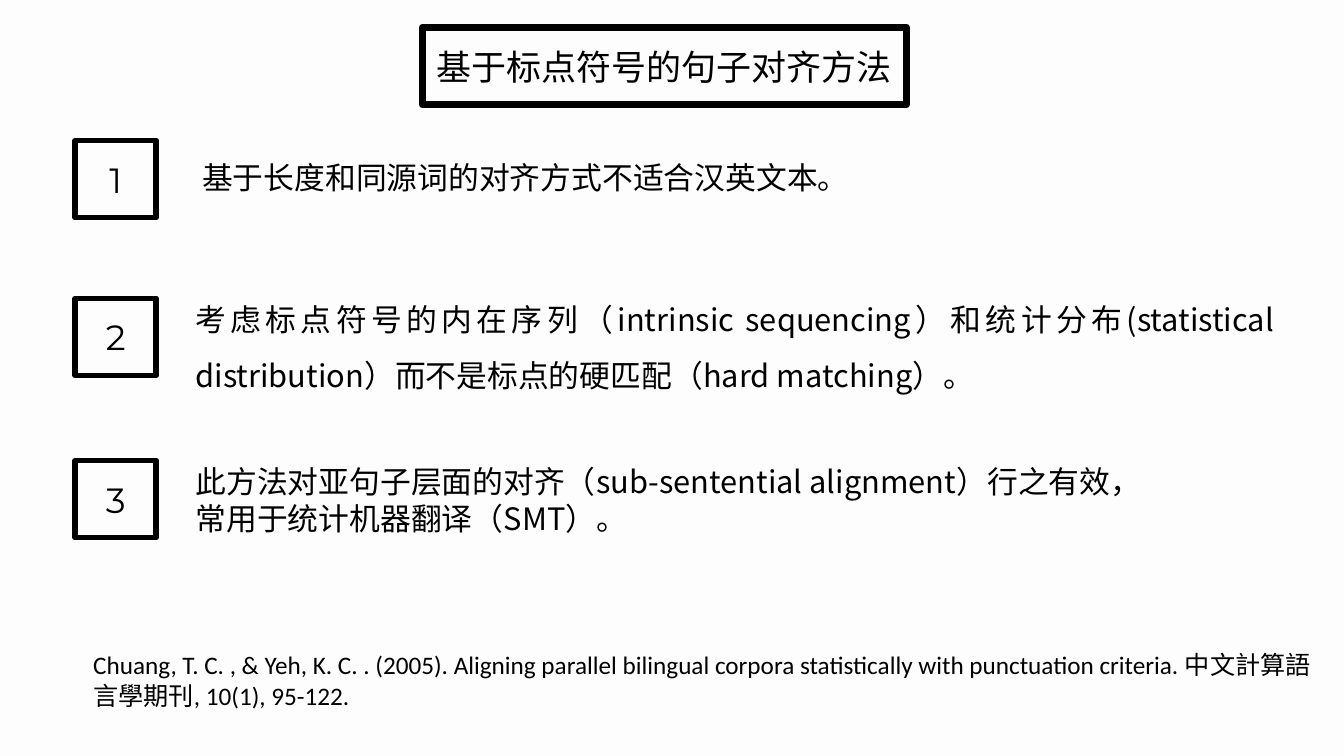
from dataclasses import dataclass
from lxml.etree import SubElement
from pptx import Presentation
from pptx.dml.color import RGBColor
from pptx.enum.shapes import MSO_SHAPE
from pptx.enum.text import MSO_ANCHOR, MSO_AUTO_SIZE, PP_ALIGN
from pptx.oxml.ns import qn
from pptx.util import Inches, Pt


@dataclass(frozen=True)
class Theme:
    ink: RGBColor = RGBColor(0x00, 0x00, 0x00)
    paper: RGBColor = RGBColor(0xFD, 0xFD, 0xFD)
    chinese: str = "Noto Sans CJK SC"
    numeral: str = "Montserrat"
    citation: str = "Calibri"
    heading_size: int = 50
    statement_size: int = 44
    citation_size: int = 36
    title_border: int = 10
    number_border: int = 8


@dataclass(frozen=True)
class Box:
    left: float
    top: float
    width: float
    height: float

    def inside(self, left, top, width, height):
        return Box(self.left + left, self.top + top, width, height)


THEME = Theme()
WIDTH, HEIGHT = Inches(26.67), Inches(15)
COLUMN, ROW = WIDTH / 100, HEIGHT / 100
COMPARISON_LAYOUT = 4

TITLE = "基于标点符号的句子对齐方法"
CITATION = (
    "Chuang, T. C. , & Yeh, K. C. . (2005). Aligning parallel bilingual corpora "
    "statistically with punctuation criteria. 中文計算語言學期刊, 10(1), 95-122."
)
POINTS = [
    {
        "row": 18.6,
        "area": (9.07, 2.07, 66.67, 5.6),
        "text": "基于长度和同源词的对齐方式不适合汉英文本。",
        "format": {"line_spacing": Pt(53)},
    },
    {
        "row": 39.47,
        "area": (8.58, -2.4, 81, 14.67),
        "text": "考虑标点符号的内在序列（intrinsic sequencing）和统计分布"
                "(statistical distribution）而不是标点的硬匹配（hard matching）。",
        "format": {"line_spacing": Pt(79), "alignment": PP_ALIGN.JUSTIFY},
    },
    {
        "row": 60.93,
        "area": (8.58, -0.13, 73.27, 10.53),
        "text": "此方法对亚句子层面的对齐（sub-sentential alignment）行之有效，"
                "常用于统计机器翻译（SMT）。",
        "format": {"line_spacing": Pt(53)},
    },
]


def apply(target, values):
    for name, value in values.items():
        setattr(target, name, value)


def place(shape, box):
    apply(shape, {
        "left": round(box.left * COLUMN),
        "top": round(box.top * ROW),
        "width": round(box.width * COLUMN),
        "height": round(box.height * ROW),
    })


def write(shape, text, font, size, frame_format=None, paragraph_format=None):
    frame = shape.text_frame
    apply(frame, {
        "word_wrap": True,
        "auto_size": MSO_AUTO_SIZE.NONE,
        "vertical_anchor": MSO_ANCHOR.TOP,
        "margin_left": Inches(0.1),
        "margin_right": Inches(0.1),
        "margin_top": Inches(0.05),
        "margin_bottom": Inches(0.05),
    } | (frame_format or {}))
    paragraph = frame.paragraphs[0]
    properties = paragraph._p.get_or_add_pPr()
    properties.set("marL", "0")
    properties.set("indent", "0")
    SubElement(properties, qn("a:buNone"))
    apply(paragraph, {
        "alignment": PP_ALIGN.LEFT,
        "space_before": Pt(0),
    } | (paragraph_format or {}))
    run = paragraph.add_run()
    run.text = text
    apply(run.font, {"name": font, "size": Pt(size), "bold": False})
    run.font.color.rgb = THEME.ink
    SubElement(run._r.get_or_add_rPr(), qn("a:ea"), typeface=THEME.chinese)


def outline(shape, weight):
    shape.fill.background()
    shape.line.color.rgb = THEME.ink
    shape.line.width = Pt(weight)


def centred(shape, text, font):
    write(shape, text, font, THEME.heading_size,
          {"vertical_anchor": MSO_ANCHOR.MIDDLE},
          {"alignment": PP_ALIGN.CENTER})


def draw_title(heading, box):
    place(heading, box)
    outline(heading, THEME.title_border)
    centred(heading, TITLE, THEME.chinese)


def draw_point(slide, statement, number, point, box):
    square = slide.shapes.add_shape(MSO_SHAPE.RECTANGLE, 0, 0, 0, 0)
    place(square, box)
    square.shadow.inherit = False
    outline(square, THEME.number_border)
    centred(square, str(number), THEME.numeral)
    place(statement, box.inside(*point["area"]))
    write(statement, point["text"], THEME.chinese, THEME.statement_size,
          paragraph_format=point["format"])


def draw_citation(reference, box):
    place(reference, box)
    write(reference, CITATION, THEME.citation, THEME.citation_size,
          paragraph_format={"line_spacing": Pt(44)})


def main():
    deck = Presentation()
    apply(deck, {"slide_width": WIDTH, "slide_height": HEIGHT})
    slide = deck.slides.add_slide(deck.slide_layouts[COMPARISON_LAYOUT])
    slide.background.fill.solid()
    slide.background.fill.fore_color.rgb = THEME.paper
    heading, *statements, reference = list(slide.placeholders)
    draw_title(heading, Box(31.42, 3.6, 36, 10.27))
    for number, (statement, point) in enumerate(zip(statements, POINTS), 1):
        draw_point(slide, statement, number, point, Box(5.59, point["row"], 6.04, 10.2))
    draw_citation(reference, Box(6.56, 85.47, 93.06, 8.73))
    deck.save("out.pptx")


if __name__ == "__main__":
    main()
